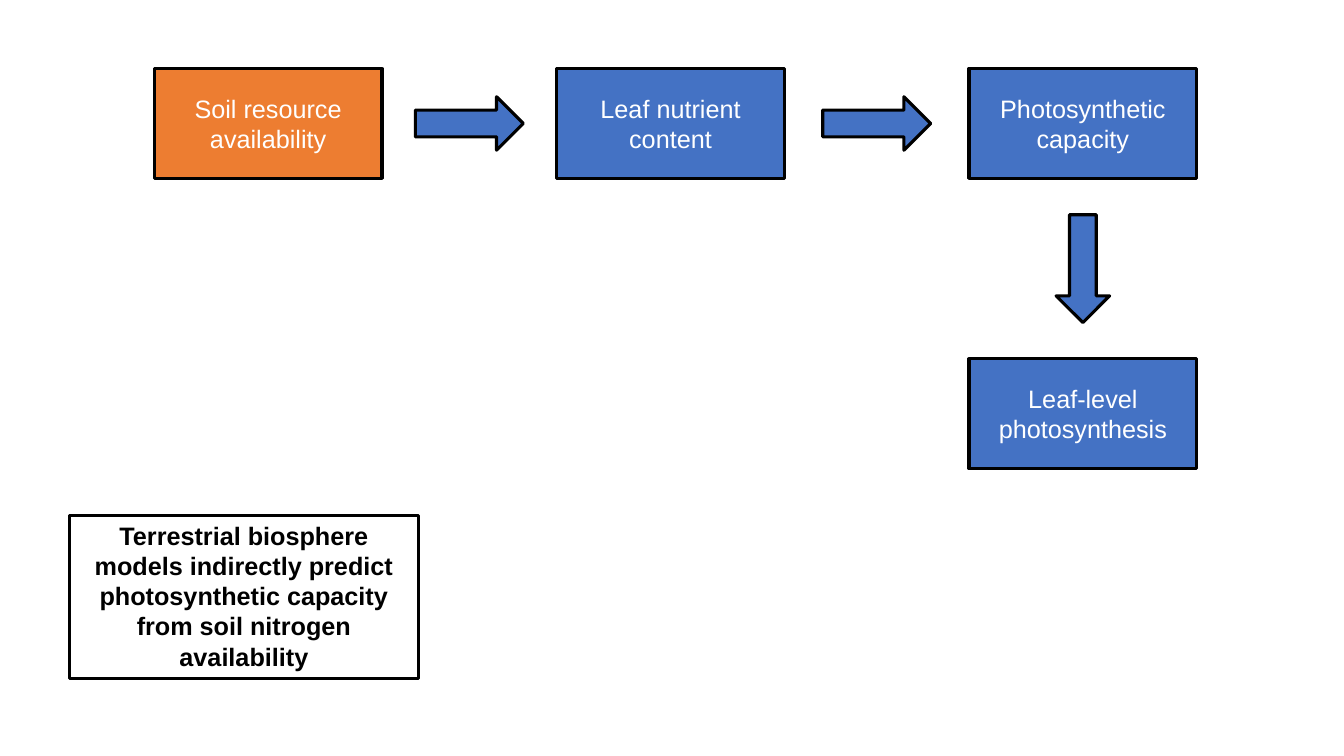
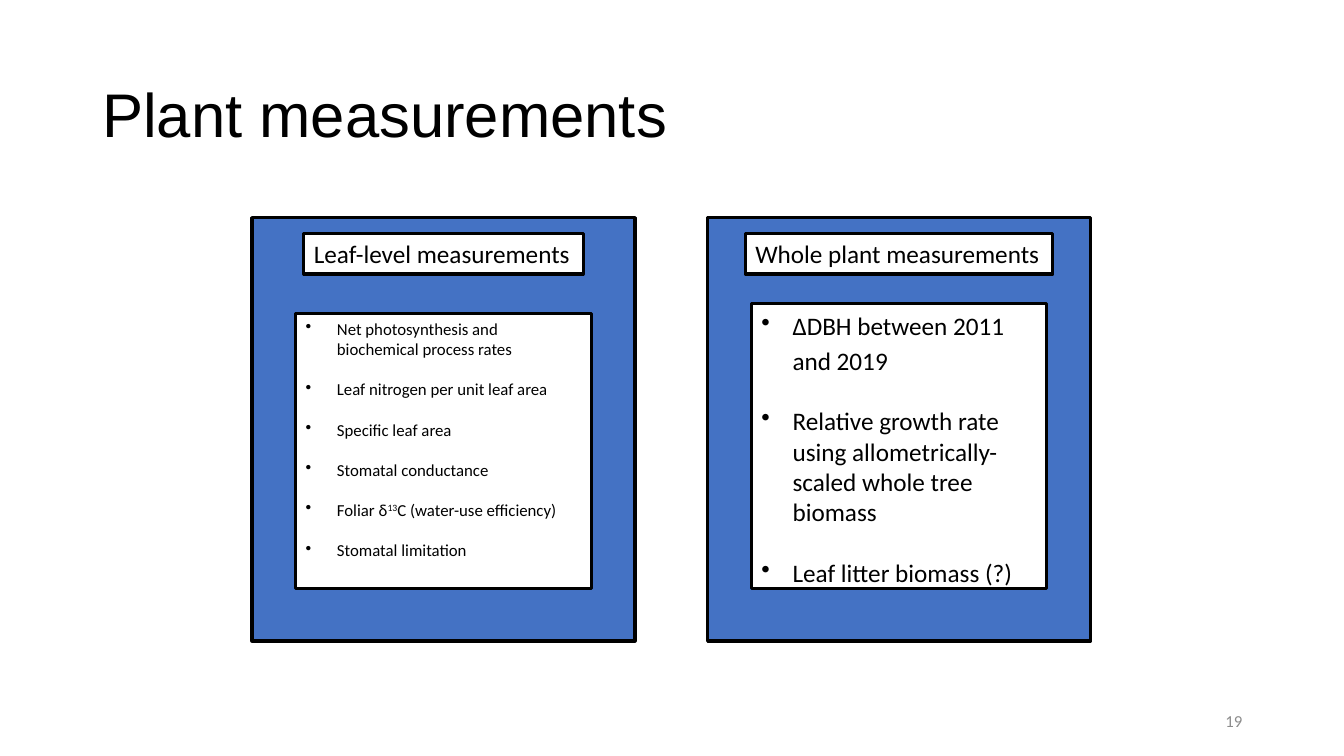
from pptx import Presentation
from pptx.dml.color import RGBColor
from pptx.enum.shapes import MSO_SHAPE as Shape
from pptx.enum.text import MSO_ANCHOR as Anchor, PP_ALIGN as Align
from pptx.oxml.xmlchemy import OxmlElement
from pptx.util import Inches, Pt

BLUE, ORANGE, WHITE, BLACK, GREY = "4472C4", "ED7D31", "FFFFFF", "000000", "8C8C8C"

deck = Presentation()
deck.slide_width, deck.slide_height = Inches(13.33), Inches(7.5)
# One column and one row are a hundredth of the slide's width and height
col, row = deck.slide_width / 100, deck.slide_height / 100
blank = deck.slide_layouts[6]


def rgb(code):
    return RGBColor.from_string(code)


def block(slide, kind, centre, top, width, height, fill=None, lines=(),
          align=Align.LEFT, anchor=Anchor.TOP, wrap=True, colour=BLACK, **font):
    """Place a shape, or a text box if kind is None; |marked| text is superscript."""
    frame = [int(v) for v in ((centre - width / 2) * col, top * row, width * col, height * row)]
    if kind is None:
        item = slide.shapes.add_textbox(*frame)
    else:
        item = slide.shapes.add_shape(kind, *frame)
        item.shadow.inherit = False
        item.line.color.rgb = rgb(BLACK)
        item.line.width = Pt(2.25)
        if fill:
            item.fill.solid()
            item.fill.fore_color.rgb = rgb(fill)
        else:
            item.fill.background()
    body = item.text_frame
    body.word_wrap, body.vertical_anchor = wrap, anchor
    for number, line in enumerate(lines):
        paragraph = body.add_paragraph() if number else body.paragraphs[0]
        paragraph.alignment = align
        for part, words in enumerate(line.split("|")):
            run = paragraph.add_run()
            run.text = words
            run.font.color.rgb = rgb(colour)
            for key, value in font.items():
                setattr(run.font, key, value)
            if part % 2:
                run._r.get_or_add_rPr().set("baseline", "30000")
    return item


# Slide 1: from soil resources to photosynthesis
flow = deck.slides.add_slide(blank)
label = dict(name="Arial", size=Pt(18), align=Align.CENTER)
step_width, step_height = 16.95, 14.53
arrow_width, arrow_height = 8.03, 7.07
steps = [  # text, centre column, top row, fill
    ("Soil resource availability", 19.95, 9.07, ORANGE),
    ("Leaf nutrient content", 49.89, 9.07, BLUE),
    ("Photosynthetic capacity", 80.57, 9.07, BLUE),
    ("Leaf-level photosynthesis", 80.57, 47.47, BLUE),
]
for text, centre, top, fill in steps:
    block(flow, Shape.RECTANGLE, centre, top, step_width, step_height, fill, [text],
          anchor=Anchor.MIDDLE, colour=WHITE, **label)

# Arrows sit halfway between neighbouring steps
for (_, x1, y1, _), (_, x2, y2, _) in zip(steps, steps[1:]):
    top = (y1 + y2 + step_height - arrow_height) / 2
    arrow = block(flow, Shape.RIGHT_ARROW, (x1 + x2) / 2, top, arrow_width, arrow_height, BLUE)
    arrow.rotation = 90 if y2 > y1 else 0

block(flow, Shape.RECTANGLE, 18.15, 68.13, 25.96, 21.6, lines=[
    "Terrestrial biosphere models indirectly predict photosynthetic capacity "
    "from soil nitrogen availability"], bold=True, **label)

# Slide 2: plant measurements
measures = deck.slides.add_slide(blank)
block(measures, None, 50, 5.33, 86.27, 19.33, lines=["Plant measurements"],
      anchor=Anchor.MIDDLE, name="Arial", size=Pt(44))

panels = [  # heading, its width, centre column, list top, text size, list items
    ("Leaf-level measurements", 20.78, 33, 41.47, 12, [
        "Net photosynthesis and biochemical process rates",
        "Leaf nitrogen per unit leaf area",
        "Specific leaf area",
        "Stomatal conductance",
        "Foliar δ|13|C (water-use efficiency)",
        "Stomatal limitation"]),
    ("Whole plant measurements", 22.88, 66.9, 40.13, 18, [
        "ΔDBH between 2011 and 2019",
        "Relative growth rate using allometrically-scaled whole tree biomass",
        "Leaf litter biomass (?)"]),
]
list_bottom = 77.87
for heading, heading_width, centre, top, size, items in panels:
    block(measures, Shape.RECTANGLE, centre, 28.8, 28.5, 56, BLUE)
    block(measures, Shape.RECTANGLE, centre, 30.93, heading_width, 5.33, WHITE, [heading],
          wrap=False, name="Calibri", size=Pt(18))
    listing = block(measures, Shape.RECTANGLE, centre, top, 21.98, list_bottom - top, WHITE,
                    items, name="Calibri", size=Pt(size))
    for number, paragraph in enumerate(listing.text_frame.paragraphs):
        properties = paragraph._p.get_or_add_pPr()
        for key, value in {"marL": Inches(0.31), "indent": -Inches(0.31)}.items():
            properties.set(key, str(value))
        bullet = OxmlElement("a:buChar")
        bullet.set("char", "•")
        properties.append(bullet)
        if number:
            paragraph.space_before = Pt(1.2 * size)

# The growth line is set a little looser than the rest
growth = listing.text_frame
growth.margin_top = Inches(0.02)
growth.paragraphs[0].line_spacing = 1.16

# Slide number
block(measures, None, 81.92, 92.67, 22.5, 5.33, lines=["19"], align=Align.RIGHT,
      anchor=Anchor.MIDDLE, colour=GREY, name="Calibri", size=Pt(12))

deck.save("out.pptx")
